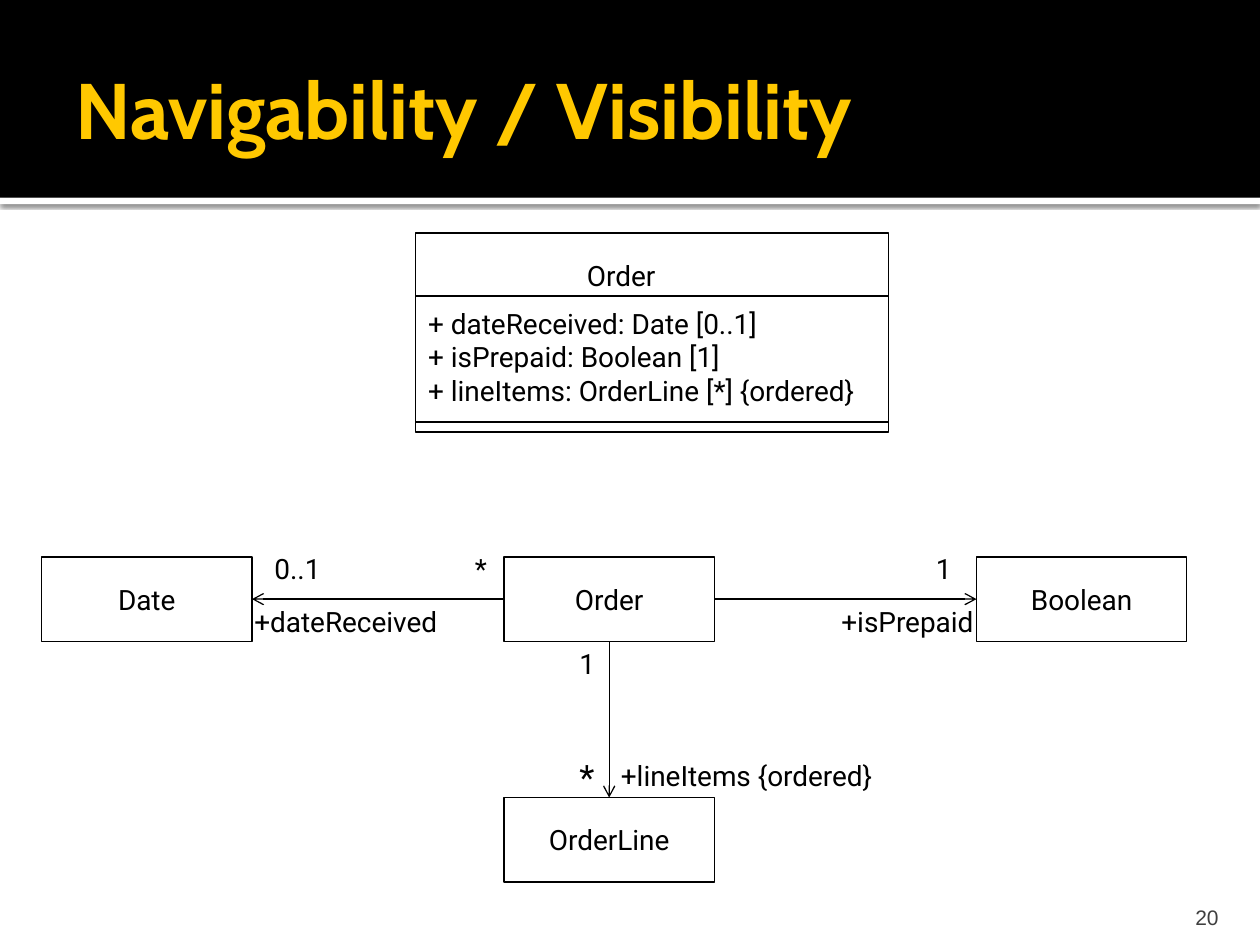
from lxml.etree import SubElement
from pptx import Presentation
from pptx.dml.color import RGBColor
from pptx.enum.shapes import MSO_CONNECTOR as CONN, MSO_SHAPE as SHAPE
from pptx.enum.text import MSO_ANCHOR as ANCHOR, MSO_AUTO_SIZE as AUTO, PP_ALIGN as ALIGN
from pptx.oxml.ns import qn
from pptx.util import Inches, Pt

TITLE = "Navigability / Visibility"
PAGE = "20"
CLASS_NAME = "Order"
ATTRIBUTES = [
    "+ dateReceived: Date [0..1]",
    "+ isPrepaid: Boolean [1]",
    "+ lineItems: OrderLine [*] {ordered}",
]
CLASS_BOX = (3.3, 1.85, 3.75, 1.58)
DIVIDERS = [2.35, 3.35]
BOX_W, BOX_H = 1.67, 0.67
BOXES = {"Order": (4, 4.42), "Date": (0.33, 4.42),
         "Boolean": (7.75, 4.42), "OrderLine": (4, 6.33)}
TOP, LEFT, BOTTOM, RIGHT = range(4)
ARROWS = [("Order", LEFT, "Date", RIGHT),
          ("Order", BOTTOM, "OrderLine", TOP),
          ("Order", RIGHT, "Boolean", LEFT)]
LABELS = [  # text, left, top, width, size
    ("+isPrepaid", 6.58, 4.75, 1.26, 16),
    ("+dateReceived", 1.92, 4.75, 1.69, 16),
    ("+lineItems {ordered}", 4.83, 5.97, 2.2, 16),
    ("1", 7.33, 4.33, 0.32, 16),
    ("*", 4.5, 5.95, 0.31, 20),
    ("0..1", 2.08, 4.33, 0.57, 16),
    ("*", 3.67, 4.33, 0.29, 16),
    ("1", 4.5, 5.08, 0.32, 16),
]


def rgb(value):
    return RGBColor.from_string(value)


def style(p, size=16, name="Roboto", color="000000", bold=False):
    f = p.font
    f.size, f.name, f.bold = Pt(size), name, bold
    f.color.rgb = rgb(color)


def add_rect(s, box, fill=None):
    """Filled rectangle without a line, or an outlined one without a fill."""
    sp = s.shapes.add_shape(SHAPE.RECTANGLE, *map(Inches, box))
    sp.shadow.inherit = False
    if fill:
        sp.fill.solid()
        sp.fill.fore_color.rgb = rgb(fill)
        sp.line.fill.background()
    else:
        sp.fill.background()
        sp.line.color.rgb = rgb("000000")
        sp.line.width = Pt(0.75)
    sp.text_frame.vertical_anchor = ANCHOR.MIDDLE
    return sp


def add_line(s, x1, y1, x2, y2):
    line = s.shapes.add_connector(CONN.STRAIGHT, *map(Inches, (x1, y1, x2, y2)))
    line.line.color.rgb = rgb("000000")
    line.line.width = Pt(0.75)
    SubElement(line.element.spPr, qn("a:effectLst"))
    return line


def add_shadow(sp):
    effects = sp.element.spPr.find(qn("a:effectLst"))
    shadow = SubElement(effects, qn("a:outerShdw"), blurRad=str(Pt(2.5)),
                        dist=str(Pt(0.8)), dir="5400000", algn="tl", rotWithShape="0")
    color = SubElement(shadow, qn("a:srgbClr"), val="000000")
    SubElement(color, qn("a:alpha"), val="60000")


prs = Presentation()
prs.slide_width, prs.slide_height = Inches(10), Inches(7.5)
s = prs.slides.add_slide(prs.slide_layouts[5])

# Header: the title goes in front of the bands
add_shadow(add_rect(s, (0, 1.57, 10, 0.05), "FFFFFF"))
add_rect(s, (0, 0, 10, 1.57), "000000")
title = s.shapes.title
s.shapes.element.append(title.element)
title.left, title.top, title.width, title.height = map(Inches, (0.5, 0.17, 9, 1.37))
tf = title.text_frame
tf.text = TITLE
tf.vertical_anchor = ANCHOR.MIDDLE
tf.auto_size = AUTO.NONE
tf.margin_left, tf.margin_right = Inches(0.1), Inches(0.05)
tf.paragraphs[0].alignment = ALIGN.LEFT
style(tf.paragraphs[0], 45, "Cabin", "FFC800", True)

# Page number
tf = s.shapes.add_textbox(*map(Inches, (8.97, 7.08, 0.8, 0.3))).text_frame
tf.word_wrap = True
tf.vertical_anchor = ANCHOR.BOTTOM
tf.margin_bottom = 0
tf.text = PAGE
tf.paragraphs[0].alignment = ALIGN.RIGHT
style(tf.paragraphs[0], 12, "Arial", "3F3F3F")

# Class with attributes
tf = add_rect(s, CLASS_BOX).text_frame
tf.text = "\n".join([CLASS_NAME] + ATTRIBUTES)
for p in tf.paragraphs:
    p.alignment = ALIGN.LEFT
    style(p)
tf.paragraphs[0].element.get_or_add_pPr().set("marL", str(Inches(1.26))) if hasattr(
    tf.paragraphs[0], "element") else tf.paragraphs[0]._p.get_or_add_pPr().set(
    "marL", str(Inches(1.26)))
tf.paragraphs[1].space_before = Pt(8)
x, _, w, _ = CLASS_BOX
for y in DIVIDERS:
    add_line(s, x, y, x + w, y)

# Associated classes
nodes = {}
for name, (x, y) in BOXES.items():
    nodes[name] = add_rect(s, (x, y, BOX_W, BOX_H))
    tf = nodes[name].text_frame
    tf.text = name
    tf.paragraphs[0].alignment = ALIGN.CENTER
    style(tf.paragraphs[0])

for source, source_side, target, target_side in ARROWS:
    arrow = add_line(s, 0, 0, 1, 1)
    arrow.begin_connect(nodes[source], source_side)
    arrow.end_connect(nodes[target], target_side)
    SubElement(arrow.line._get_or_add_ln(), qn("a:tailEnd"), type="arrow")

for text, x, y, w, size in LABELS:
    box = s.shapes.add_textbox(*map(Inches, (x, y, w, 0.43 if size == 20 else 0.37)))
    tf = box.text_frame
    tf.word_wrap = False
    tf.auto_size = AUTO.SHAPE_TO_FIT_TEXT
    tf.text = text
    style(tf.paragraphs[0], size)

prs.save("out.pptx")
